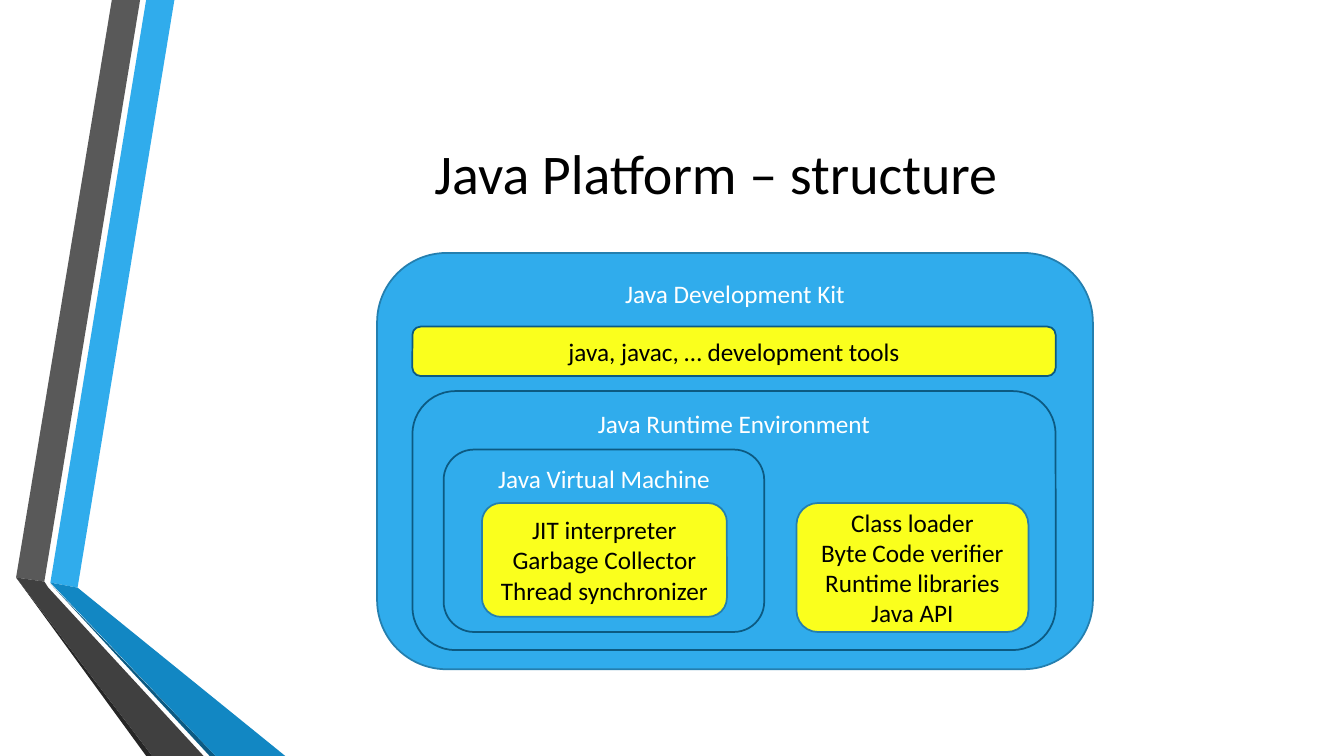
from dataclasses import dataclass

from pptx import Presentation
from pptx.dml.color import RGBColor
from pptx.enum.shapes import MSO_SHAPE
from pptx.enum.text import MSO_ANCHOR, PP_ALIGN
from pptx.shapes.autoshape import Shape
from pptx.slide import Slide
from pptx.util import Inches, Pt

WHITE = RGBColor(0xFF, 0xFF, 0xFF)
BLACK = RGBColor(0x00, 0x00, 0x00)
SKY = RGBColor(0x30, 0xAC, 0xEC)
BLUE = RGBColor(0x12, 0x87, 0xC3)
NAVY = RGBColor(0x0C, 0x5A, 0x82)
STEEL = RGBColor(0x24, 0x7F, 0xAF)
YELLOW = RGBColor(0xFA, 0xFF, 0x1D)
GRAY = RGBColor(0x59, 0x59, 0x59)
DARK_GRAY = RGBColor(0x40, 0x40, 0x40)
CHARCOAL = RGBColor(0x26, 0x26, 0x26)

FONT = "Calibri"


@dataclass(frozen=True)
class Ribbon:
    color: RGBColor
    points: tuple[tuple[float, float], ...]


@dataclass(frozen=True)
class Box:
    left: float
    top: float
    width: float
    height: float
    lines: tuple[str, ...]
    fill: RGBColor
    border: RGBColor
    color: RGBColor
    anchor: MSO_ANCHOR


def container(left: float, top: float, width: float, height: float,
              name: str, border: RGBColor = NAVY) -> Box:
    return Box(left, top, width, height, (name,), SKY, border, WHITE, MSO_ANCHOR.TOP)


def component(left: float, top: float, width: float, height: float,
              *lines: str, border: RGBColor = STEEL) -> Box:
    return Box(left, top, width, height, lines, YELLOW, border, BLACK, MSO_ANCHOR.MIDDLE)


RIBBONS = (
    Ribbon(SKY, ((0.5, 5.78), (0.77, 5.83), (1.73, 0), (1.45, 0))),
    Ribbon(GRAY, ((1.39, 0), (1.11, 0), (0.16, 5.73), (0.44, 5.77))),
    Ribbon(CHARCOAL, ((0.16, 5.73), (1.45, 7.5), (1.51, 7.5))),
    Ribbon(NAVY, ((0.5, 5.79), (2.08, 7.5), (2.14, 7.5))),
    Ribbon(BLUE, ((0.5, 5.78), (2.14, 7.5), (2.83, 7.5), (0.77, 5.83))),
    Ribbon(DARK_GRAY, ((2.02, 7.5), (0.48, 5.83), (0.44, 5.77), (0.16, 5.73), (1.51, 7.5))),
)

BOXES = (
    container(3.74, 2.51, 7.1, 4.13, "Java Development Kit", STEEL),
    container(4.09, 3.88, 6.38, 2.57, "Java Runtime Environment"),
    container(4.4, 4.46, 3.18, 1.81, "Java Virtual Machine"),
    component(4.78, 4.99, 2.43, 1.13,
              "JIT interpreter", "Garbage Collector", "Thread synchronizer"),
    component(7.9, 4.99, 2.3, 1.28,
              "Class loader", "Byte Code verifier", "Runtime libraries", "Java API"),
    component(4.09, 3.24, 6.38, 0.49, "java, javac, … development tools", border=NAVY),
)


def write_text(sp: Shape, lines: tuple[str, ...], size: int,
               color: RGBColor, anchor: MSO_ANCHOR) -> None:
    tf = sp.text_frame
    tf.word_wrap = True
    tf.vertical_anchor = anchor
    tf.text = "\n".join(lines)
    font_format = {"name": FONT, "size": Pt(size)}
    for p in tf.paragraphs:
        p.alignment = PP_ALIGN.CENTER
        for r in p.runs:
            for attr, value in font_format.items():
                setattr(r.font, attr, value)
            r.font.color.rgb = color


def paint(sp: Shape, fill: RGBColor) -> None:
    sp.shadow.inherit = False
    sp.fill.solid()
    sp.fill.fore_color.rgb = fill


def draw_ribbon(s: Slide, ribbon: Ribbon) -> None:
    start, *rest = [(Inches(x), Inches(y)) for x, y in ribbon.points]
    builder = s.shapes.build_freeform(*start)
    builder.add_line_segments(rest, close=True)
    sp = builder.convert_to_shape()
    paint(sp, ribbon.color)
    sp.line.fill.background()


def draw_box(s: Slide, box: Box) -> None:
    sp = s.shapes.add_shape(
        MSO_SHAPE.ROUNDED_RECTANGLE,
        Inches(box.left), Inches(box.top), Inches(box.width), Inches(box.height))
    paint(sp, box.fill)
    sp.line.color.rgb = box.border
    sp.line.width = Pt(1.25)
    write_text(sp, box.lines, 18, box.color, box.anchor)


def draw_title(s: Slide, title: str) -> None:
    sp = s.shapes.add_textbox(Inches(1.62), Inches(0.75), Inches(10.96), Inches(1.92))
    write_text(sp, (title,), 40, BLACK, MSO_ANCHOR.MIDDLE)


def main() -> None:
    prs = Presentation()
    prs.slide_width = Inches(13.33)
    prs.slide_height = Inches(7.5)
    s = prs.slides.add_slide(prs.slide_layouts[6])
    for ribbon in RIBBONS:
        draw_ribbon(s, ribbon)
    draw_title(s, "Java Platform – structure")
    for box in BOXES:
        draw_box(s, box)
    prs.save("out.pptx")


if __name__ == "__main__":
    main()
